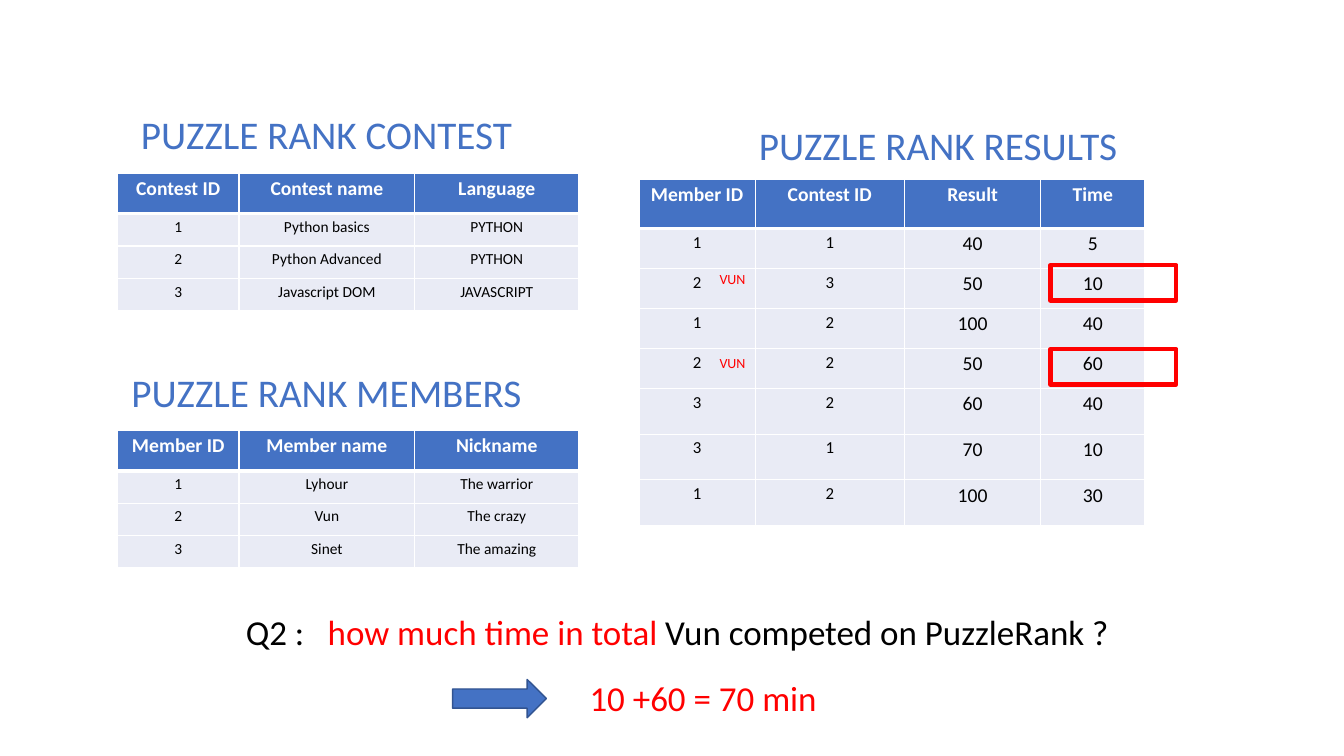
from lxml import etree
from pptx import Presentation
from pptx.dml.color import RGBColor
from pptx.enum import shapes, text
from pptx.oxml import ns
from pptx.util import Pt

BLUE = RGBColor(0x44, 0x72, 0xC4)
DARK_BLUE = RGBColor(0x32, 0x54, 0x91)
PALE = RGBColor(0xE9, 0xEB, 0xF5)
RED = RGBColor(0xFF, 0, 0)
WHITE = RGBColor(0xFF, 0xFF, 0xFF)
BLACK = RGBColor(0, 0, 0)

CONTESTS = [("Contest ID", "Contest name", "Language"),
            ("1", "Python basics", "PYTHON"),
            ("2", "Python Advanced", "PYTHON"),
            ("3", "Javascript DOM", "JAVASCRIPT")]
MEMBERS = [("Member ID", "Member name", "Nickname"),
           ("1", "Lyhour", "The warrior"),
           ("2", "Vun", "The crazy"),
           ("3", "Sinet", "The amazing")]
RESULTS = [("Member ID", "Contest ID", "Result", "Time"),
           ("1", "1", "40", "5"),
           ("2", "3", "50", "10"),
           ("1", "2", "100", "40"),
           ("2", "2", "50", "60"),
           ("3", "2", "60", "40"),
           ("3", "1", "70", "10"),
           ("1", "2", "100", "30")]


def add_run(p, words, size, color, bold=False):
    """Add one formatted run to a paragraph."""
    r = p.add_run()
    r.text = words
    r.font.name = "Calibri"
    r.font.size = Pt(size)
    r.font.bold = bold
    r.font.color.rgb = color


def add_label(s, box, runs, size, wrap=True, align=text.PP_ALIGN.LEFT, tab=None):
    """Place one line of text made of (words, colour) runs in a box."""
    tf = s.shapes.add_textbox(*map(Pt, box)).text_frame
    tf.word_wrap = wrap
    p = tf.paragraphs[0]
    p.alignment = align
    if tab:
        tabs = etree.SubElement(p._p.get_or_add_pPr(), ns.qn("a:tabLst"))
        etree.SubElement(tabs, ns.qn("a:tab"), pos=str(Pt(tab)), algn="l")
    for words, color in runs:
        add_run(p, words, size, color)


def add_borders(cell, bottom):
    """Draw white borders round a cell, with the given bottom width."""
    tc_pr = cell._tc.get_or_add_tcPr()
    for i, (side, width) in enumerate((("L", 1), ("R", 1), ("T", 1), ("B", bottom))):
        ln = etree.Element(ns.qn("a:ln" + side), w=str(Pt(width)))
        fill = etree.SubElement(ln, ns.qn("a:solidFill"))
        etree.SubElement(fill, ns.qn("a:srgbClr"), val=str(WHITE))
        tc_pr.insert(i, ln)


def add_panel(s, box, title, offset, rows, widths, heights, sizes):
    """Place a heading in a box and its table at an offset from the corner."""
    x, y, w, h = box
    add_label(s, box, [(title, BLUE)], 28, align=text.PP_ALIGN.CENTER)
    frame = s.shapes.add_table(len(rows), len(widths), Pt(x + offset[0]), Pt(y + offset[1]),
                               Pt(sum(widths)), Pt(sum(heights)))
    table = frame.table
    table.horz_banding = False
    for column, width in zip(table.columns, widths):
        column.width = Pt(width)
    for i, (row, height) in enumerate(zip(rows, heights)):
        table.rows[i].height = Pt(height)
        head = i == 0
        for j, words in enumerate(row):
            cell = table.cell(i, j)
            cell.margin_left = cell.margin_right = Pt(5.4)
            cell.margin_top = cell.margin_bottom = Pt(2.7)
            cell.fill.solid()
            cell.fill.fore_color.rgb = BLUE if head else PALE
            add_borders(cell, 3 if head else 1)
            if i == 1:
                cell._tc.tcPr.find(ns.qn("a:lnT")).set("w", str(Pt(3)))
            p = cell.text_frame.paragraphs[0]
            p.alignment = text.PP_ALIGN.CENTER
            add_run(p, words, 14 if head else sizes[j], WHITE if head else BLACK, head)


def add_outlined(s, kind, box, line, width, fill=None):
    """Place a preset shape with an outline and an optional fill."""
    sp = s.shapes.add_shape(kind, *map(Pt, box))
    sp.shadow.inherit = False
    sp.line.color.rgb = line
    sp.line.width = Pt(width)
    if fill is None:
        sp.fill.background()
    else:
        sp.fill.solid()
        sp.fill.fore_color.rgb = fill


def add_highlights(s, x, tops):
    """Mark the rows that belong to Vun with a name and a time frame."""
    for top in tops:
        add_label(s, (x, top, 33, 19.4), [("VUN", RED)], 10, wrap=False)
        add_outlined(s, shapes.MSO_SHAPE.RECTANGLE, (x + 243.4, top, 90, 25.2), RED, 3)


def add_question(s, x, y):
    """Place the question with its answer and arrow below."""
    add_label(s, (x, y, 661, 37.4),
              [("Q2 :\t", BLACK), ("how much time in total ", RED),
               ("Vun competed on PuzzleRank ?", BLACK)], 25, tab=58.5)
    add_outlined(s, shapes.MSO_SHAPE.RIGHT_ARROW, (x + 154.8, y + 52.6, 67, 27.4),
                 DARK_BLUE, 1, BLUE)
    add_label(s, (x + 245.5, y + 46.8, 178.6, 37.4), [("10 +60 = 70 min", RED)], 25, wrap=False)


def main():
    """Build the slide and save it."""
    prs = Presentation()
    prs.slide_width, prs.slide_height = Pt(960), Pt(540)
    s = prs.slides.add_slide(prs.slide_layouts[6])
    add_panel(s, (450, 82.8, 440, 41), "PUZZLE RANK RESULTS", (6.5, 45.4), RESULTS,
              (83, 106.5, 97.5, 74.3), [35] + [28.6] * 4 + [32.6] * 3, (12, 12, 14, 14))
    for top, title, rows in ((75.6, "PUZZLE RANK CONTEST", CONTESTS),
                             (259.2, "PUZZLE RANK MEMBERS", MEMBERS)):
        add_panel(s, (69, top, 328.3, 41), title, (15, 48.2), rows,
                  (86.7, 125.7, 117), [28.8] + [23.2] * 3, (11, 11, 11))
    add_highlights(s, 506.9, (189.4, 249.5))
    add_question(s, 168.5, 432.7)
    prs.save("out.pptx")


if __name__ == "__main__":
    main()
